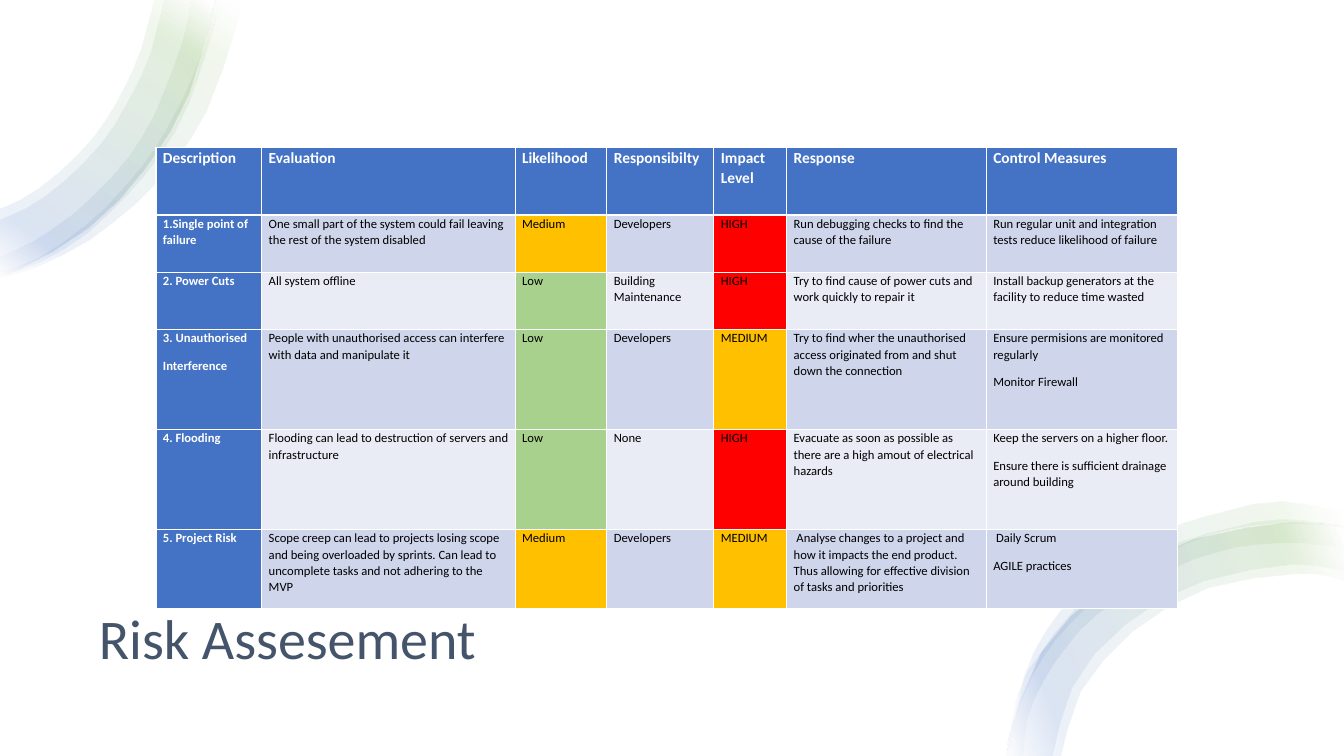
from dataclasses import dataclass

from pptx import Presentation
from pptx.dml.color import RGBColor
from pptx.enum.text import MSO_ANCHOR, MSO_AUTO_SIZE, PP_ALIGN
from pptx.oxml import parse_xml
from pptx.oxml.ns import nsdecls
from pptx.util import Pt


@dataclass(frozen=True)
class Theme:
    font: str = "Calibri"
    title: str = "44546A"
    accent: str = "4472C4"
    green: str = "70AD47"
    white: str = "FFFFFF"
    black: str = "000000"
    bands: tuple = ("CFD5EA", "E9EBF5")
    title_size: int = 40
    header_size: int = 11
    body_size: int = 9


THEME = Theme()
RATING_FILLS = {"LOW": "A9D18E", "MEDIUM": "FFC000", "HIGH": "FF0000"}

TITLE = "Risk Assesement"
HEADERS = ["Description", "Evaluation", "Likelihood", "Responsibilty",
           "Impact Level", "Response", "Control Measures"]
RISKS = [
    ["1.Single point of failure",
     "One small part of the system could fail leaving the rest of the system disabled",
     "Medium", "Developers", "HIGH",
     "Run debugging checks to find the cause of the failure",
     "Run regular unit and integration tests reduce likelihood of failure"],
    ["2. Power Cuts", "All system offline", "Low", "Building Maintenance", "HIGH",
     "Try to find cause of power cuts and work quickly to repair it",
     "Install backup generators at the facility to reduce time wasted"],
    ["3. Unauthorised\nInterference",
     "People with unauthorised access can interfere with data and manipulate it",
     "Low", "Developers", "MEDIUM",
     "Try to find wher the unauthorised access originated from and shut down the connection",
     "Ensure permisions are monitored regularly\nMonitor Firewall"],
    ["4. Flooding", "Flooding can lead to destruction of servers and infrastructure",
     "Low", "None", "HIGH",
     "Evacuate as soon as possible as there are a high amout of electrical hazards",
     "Keep the servers on a higher floor.\n"
     "Ensure there is sufficient drainage around building"],
    ["5. Project Risk",
     "Scope creep can lead to projects losing scope and being overloaded by sprints. "
     "Can lead to uncomplete tasks and not adhering to the MVP",
     "Medium", "Developers", "MEDIUM",
     " Analyse changes to a project and how it impacts the end product. "
     "Thus allowing for effective division of tasks and priorities",
     " Daily Scrum\nAGILE practices"],
]
COLUMN_WIDTHS = [75.6, 181, 65.5, 76.5, 52, 142.6, 136.8]
ROW_HEIGHTS = [48.2, 41, 41, 71.4, 71.4, 56.2]
TABLE_LEFT, TABLE_TOP = 111.4, 105.4

# Ring edges: points in points, each ring lies between an outer and an inner edge.
TOP_SHARED = [(0, 197), (14, 192), (63, 163), (104, 120), (135, 67), (152, 7), (153, 0)]
TOP_RINGS = [
    ([(0, 198), (29, 189), (64, 171), (96, 146), (125, 115), (147, 80), (168, 20), (171, 0)],
     [(0, 194), (27, 184), (59, 162), (87, 135), (111, 105), (130, 71), (145, 35), (153, 0)]),
    (TOP_SHARED,
     [(0, 149), (14, 143), (41, 124), (66, 99), (85, 70), (100, 37), (110, 0)]),
    ([(0, 197), (31, 186), (63, 166), (91, 139), (116, 108), (135, 73), (153, 17), (156, 0)],
     [(0, 183), (24, 172), (53, 152), (79, 127), (101, 98), (117, 65), (130, 30), (136, 0)]),
    (TOP_SHARED,
     [(0, 157), (18, 149), (45, 130), (71, 104), (91, 73), (107, 39), (117, 0)]),
]
BOTTOM_SHARED = [(720, 540), (721, 526), (744, 466), (791, 418), (853, 385),
                 (923, 373), (957, 376), (960, 377)]
BOTTOM_RINGS = [
    (BOTTOM_SHARED,
     [(758, 540), (772, 494), (809, 451), (863, 420), (923, 410), (950, 412), (960, 415)]),
    (BOTTOM_SHARED,
     [(752, 540), (766, 491), (804, 446), (860, 415), (923, 403), (951, 406), (960, 408)]),
    ([(720, 540), (724, 511), (734, 480), (774, 428), (801, 408), (831, 391),
      (896, 373), (931, 372), (960, 376)],
     [(731, 540), (734, 514), (746, 486), (763, 461), (785, 438), (838, 406),
      (868, 395), (899, 389), (930, 388), (960, 392)]),
    ([(719, 540), (732, 482), (747, 451), (768, 424), (795, 400), (825, 380),
      (895, 360), (932, 360), (960, 366)],
     [(721, 540), (724, 515), (737, 484), (755, 456), (778, 432), (804, 411),
      (833, 395), (864, 382), (897, 375), (930, 374), (960, 377)]),
]
RING_SETS = [(TOP_RINGS, 125), (BOTTOM_RINGS, 160)]


def smooth(anchors, steps=2):
    """Catmull-Rom curve through the anchors."""
    padded = [anchors[0], *anchors, anchors[-1]]
    curve = []
    for a, b, c, d in zip(padded, padded[1:], padded[2:], padded[3:]):
        for step in range(steps):
            t = step / steps
            curve.append(tuple(
                (2 * q + (r - p) * t + (2 * p - 5 * q + 4 * r - s) * t ** 2
                 + (3 * q - p - 3 * r + s) * t ** 3) / 2
                for p, q, r, s in zip(a, b, c, d)))
    return curve + [anchors[-1]]


def ring_gradient(angle):
    stops = [(2, THEME.white), (16, THEME.green), (85, THEME.accent), (100, THEME.white)]
    stop_xml = "".join(
        f'<a:gs pos="{place * 1000}"><a:srgbClr val="{color}">'
        f'<a:alpha val="10000"/></a:srgbClr></a:gs>' for place, color in stops)
    return parse_xml(f'<a:gradFill {nsdecls("a")} rotWithShape="1"><a:gsLst>{stop_xml}'
                     f'</a:gsLst><a:lin ang="{angle * 60000}" scaled="0"/></a:gradFill>')


def add_ring(slide, outer, inner, angle):
    outline = smooth(outer) + smooth(inner)[::-1]
    builder = slide.shapes.build_freeform(*outline[0], scale=Pt(1))
    builder.add_line_segments(outline[1:], close=True)
    ring = builder.convert_to_shape()
    ring.shadow.inherit = False
    ring.line.fill.background()
    ring.fill.background()
    properties = ring._element.spPr
    properties.replace(properties.find("{*}noFill"), ring_gradient(angle))


def format_paragraph(paragraph, size, color, bold=False, spacing=1.07, after=8):
    paragraph.line_spacing = spacing
    paragraph.space_after = Pt(after)
    for run in paragraph.runs:
        run.font.name = THEME.font
        run.font.size = Pt(size)
        run.font.bold = bold
        run.font.color.rgb = RGBColor.from_string(color)


def fill_cell(cell, text, row, column):
    is_heading = row == 0 or column == 0
    band = THEME.accent if is_heading else THEME.bands[(row - 1) % 2]
    cell.text_frame.text = text
    cell.margin_left = cell.margin_right = Pt(5)
    cell.margin_top = cell.margin_bottom = 0
    cell.fill.solid()
    cell.fill.fore_color.rgb = RGBColor.from_string(RATING_FILLS.get(text.upper(), band))
    for paragraph in cell.text_frame.paragraphs:
        format_paragraph(paragraph, THEME.body_size if row else THEME.header_size,
                         THEME.white if is_heading else THEME.black, is_heading)


def add_risk_table(slide):
    """Add the table; its default style draws the white cell borders."""
    rows = [HEADERS, *RISKS]
    table = slide.shapes.add_table(
        len(rows), len(HEADERS), Pt(TABLE_LEFT), Pt(TABLE_TOP),
        Pt(sum(COLUMN_WIDTHS)), Pt(sum(ROW_HEIGHTS))).table
    for column, width in zip(table.columns, COLUMN_WIDTHS):
        column.width = Pt(width)
    for row, height in zip(table.rows, ROW_HEIGHTS):
        row.height = Pt(height)
    for r, texts in enumerate(rows):
        for c, text in enumerate(texts):
            fill_cell(table.cell(r, c), text, r, c)


def set_title(slide):
    title = slide.shapes.title
    title.left, title.top, title.width, title.height = Pt(63.4), Pt(427.7), Pt(838), Pt(61.2)
    frame = title.text_frame
    frame.text = TITLE
    frame.auto_size = MSO_AUTO_SIZE.NONE
    frame.vertical_anchor = MSO_ANCHOR.MIDDLE
    frame.paragraphs[0].alignment = PP_ALIGN.LEFT
    format_paragraph(frame.paragraphs[0], THEME.title_size, THEME.title, spacing=0.9, after=0)


def main():
    deck = Presentation()
    deck.slide_width, deck.slide_height = Pt(960), Pt(540)
    slide = deck.slides.add_slide(deck.slide_layouts[5])
    set_title(slide)
    for rings, angle in RING_SETS:
        for outer, inner in rings:
            add_ring(slide, outer, inner, angle)
    add_risk_table(slide)
    deck.save("out.pptx")


if __name__ == "__main__":
    main()
